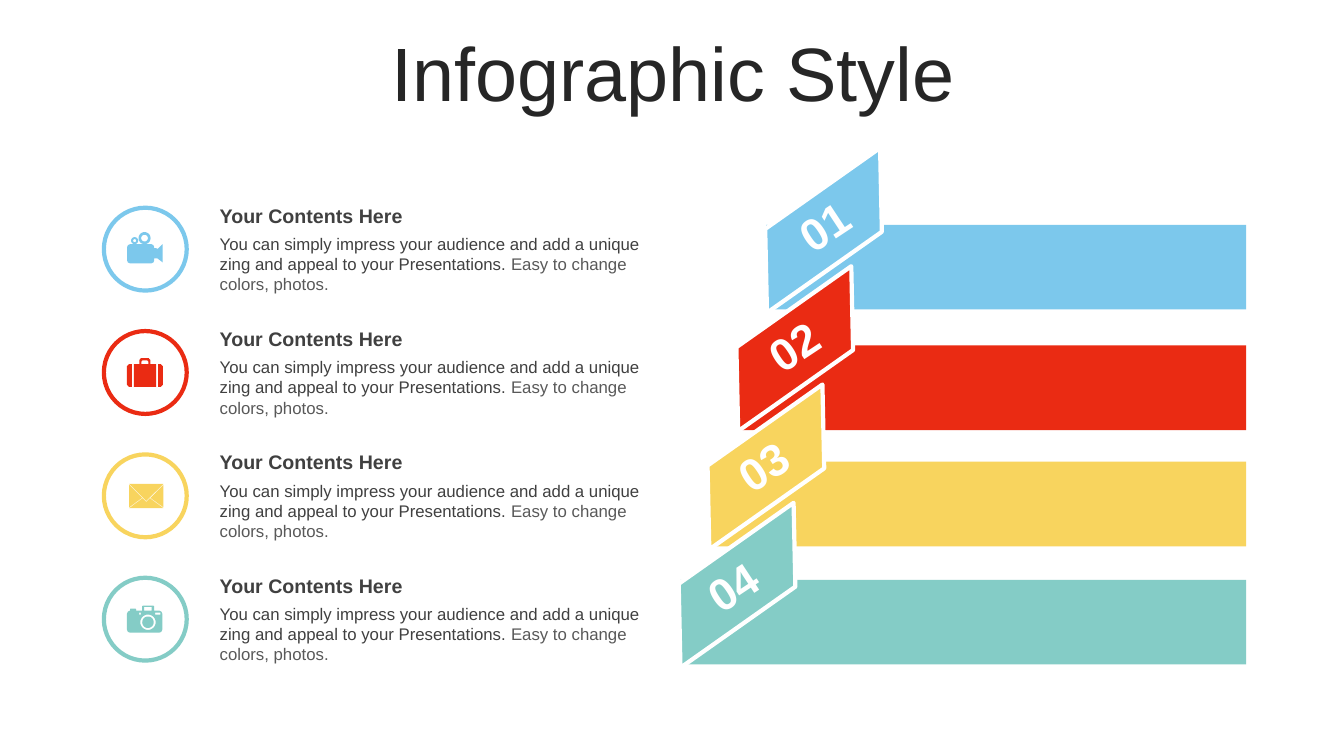
from math import cos, pi, sin

from pptx import Presentation
from pptx.dml.color import RGBColor
from pptx.enum.shapes import MSO_SHAPE
from pptx.enum.text import MSO_ANCHOR, PP_ALIGN
from pptx.util import Pt

RECT = MSO_SHAPE.RECTANGLE
OVAL = MSO_SHAPE.OVAL
SLANT = MSO_SHAPE.PARALLELOGRAM
LEFT, CENTER = PP_ALIGN.LEFT, PP_ALIGN.CENTER

HUES = {"blue": "7CC8EC", "red": "EA2B13", "gold": "F8D45E", "teal": "84CCC6",
        "white": "FFFFFF", "title": "262626", "dark": "404040", "gray": "595959"}
RGB = {name: RGBColor.from_string(code) for name, code in HUES.items()}
ROWS = ["blue", "red", "gold", "teal"]
STEP = 88.1

prs = Presentation()
prs.slide_width, prs.slide_height = Pt(960), Pt(540)
slide = prs.slides.add_slide(prs.slide_layouts[6])
shapes = slide.shapes


def write(box, parts, size, bold=False, align=LEFT):
    """Add a text box at box whose runs are the (text, colour) parts."""
    label = shapes.add_textbox(*map(Pt, box))
    frame = label.text_frame
    frame.word_wrap = True
    para = frame.paragraphs[0]
    para.alignment = align
    for text, hue in parts:
        run = para.add_run()
        run.text = text
        font = run.font
        font.name, font.size, font.bold = "Arial", Pt(size), bold
        font.color.rgb = RGB[hue]
    return label


def ring(x, y, r, count=32):
    """Return points around a circle."""
    turns = [2 * pi * k / count for k in range(count)]
    return [(x + r * cos(t), y + r * sin(t)) for t in turns]


# Title
title = write((25.2, 26.6, 911.5, 56.9), [("Infographic Style", "title")], 54, align=CENTER)
title.text_frame.vertical_anchor = MSO_ANCHOR.MIDDLE
title.text_frame.paragraphs[0].line_spacing = 0.9

# Bars, all ending at one right edge
EDGE = 890.2
for hue, x, y in zip(ROWS, (547.2, 527.2, 508.1, 486), (160.6, 246.8, 329.8, 414.2)):
    bar = shapes.add_shape(RECT, Pt(x), Pt(y), Pt(EDGE - x), Pt(60.5))
    bar.shadow.inherit = False
    bar.fill.solid()
    bar.fill.fore_color.rgb = RGB[hue]
    bar.line.fill.background()

# Slanted tabs, lowest first so that each one covers the next
for i, hue in reversed(list(enumerate(ROWS))):
    tab = shapes.add_shape(SLANT, Pt(521.3 - 20.6 * i), Pt(139.7 + 84.5 * i),
                           Pt(133.9), Pt(49.7))
    tab.adjustments[0] = 0.674
    tab.rotation = 144.8
    tab.shadow.inherit = False
    tab.fill.solid()
    tab.fill.fore_color.rgb = RGB[hue]
    tab.line.color.rgb = RGB["white"]
    tab.line.width = Pt(3)

# Circles, texts and numbers
for i, hue in enumerate(ROWS):
    disc = shapes.add_shape(OVAL, Pt(74.2), Pt(148.4 + STEP * i), Pt(59.2), Pt(59.2))
    disc.shadow.inherit = False
    disc.fill.solid()
    disc.fill.fore_color.rgb = RGB["white"]
    disc.line.color.rgb = RGB[hue]
    disc.line.width = Pt(3)

    write((149.8, 163.4 + STEP * i, 322.6, 51.1),
          [("You can simply impress your audience and add a unique zing "
            "and appeal to your Presentations. ", "dark"),
           ("Easy to change colors, photos.", "gray")], 12)
    write((149.8, 142 + STEP * i, 322.6, 24.5), [("Your Contents Here", "dark")], 14, True)
    num = write((550.8 - 21.8 * i, 138.2 + 85.9 * i, 75.6, 46.1),
                [(f"{i + 1:02}", "white")], 32, True, CENTER)
    num.rotation = 326.5

# Icons: closed outlines in points from each icon's corner; inner ones cut holes
film = [
    ring(5.4, 6.1, 2.5), ring(5.4, 6.1, 1.1),
    ring(12.5, 4.3, 4.3), ring(12.5, 4.3, 2.4),
    [(2.2, 8.6), (17.3, 8.6), (18.8, 9.3), (19.4, 10.8), (19.4, 11.5), (20.9, 11.5),
     (21.6, 12.2), (25.4, 8.6), (25.4, 21.6), (21.6, 18.7), (19.4, 18.7), (19.4, 20.2),
     (18.8, 21.7), (17.3, 22.3), (2.2, 22.3), (0.6, 21.7), (0, 20.2), (0, 10.8), (0.6, 9.3)],
]
case = [
    [(1.4, 4.3), (3.6, 4.3), (3.6, 20.5), (1.4, 20.5), (0, 19), (0, 5.8)],
    [(22.3, 4.3), (24.2, 4.3), (25.6, 5.8), (25.6, 19), (24.2, 20.5), (22.3, 20.5)],
    [(5, 4.3), (8.8, 4.3), (8.8, 1.4), (10, 0), (15.5, 0), (16.7, 1.4), (16.7, 4.3),
     (20.9, 4.3), (20.9, 20.5), (5, 20.5)],
    [(10.3, 4.3), (10.3, 2.4), (11, 1.6), (14.5, 1.6), (15.2, 2.4), (15.2, 4.3)],
]
mail = [
    [(0, 0), (24.4, 0), (12.2, 12.1)],
    [(0, 0.7), (9.2, 9.9), (0, 16.7)],
    [(24.4, 0.7), (24.4, 16.7), (15.2, 9.9)],
    [(9.6, 10.2), (12.2, 12.9), (14.8, 10.2), (24.4, 17.3), (0, 17.3)],
]
photo = [
    [(2.2, 3.6), (2.2, 2.5), (2.6, 2.2), (6.2, 2.2), (6.5, 2.5), (6.5, 3.6), (10.8, 3.6),
     (10.8, 0.5), (11.4, 0), (18.8, 0), (19.4, 0.5), (19.4, 3.6), (23, 3.6), (24.6, 4.3),
     (25.2, 5.8), (25.2, 17.2), (24.6, 18.7), (23, 19.4), (2.2, 19.4), (0.6, 18.7),
     (0, 17.2), (0, 5.8), (0.6, 4.3)],
    [(8.6, 5), (10, 5), (10, 6.4), (8.6, 6.4)],
    [(20.2, 5), (23.8, 5), (23.8, 6.4), (20.2, 6.4)],
    [(12.3, 0.9), (17.6, 0.9), (17.6, 3.6), (12.3, 3.6)],
    ring(15, 11.9, 5.5), ring(15, 11.9, 4.1),
]
spots = [(90.8, 165.8), (90.7, 255.8), (92.3, 345.7), (90.7, 432.6)]
for hue, (left, top), loops in zip(ROWS, spots, (film, case, mail, photo)):
    draft = None
    for loop in loops:
        first, *rest = [(Pt(left + x), Pt(top + y)) for x, y in loop]
        if draft is None:
            draft = shapes.build_freeform(*first)
        else:
            draft.move_to(*first)
        draft.add_line_segments(rest, close=True)
    icon = draft.convert_to_shape()
    icon.shadow.inherit = False
    icon.fill.solid()
    icon.fill.fore_color.rgb = RGB[hue]
    icon.line.fill.background()

prs.save("out.pptx")
